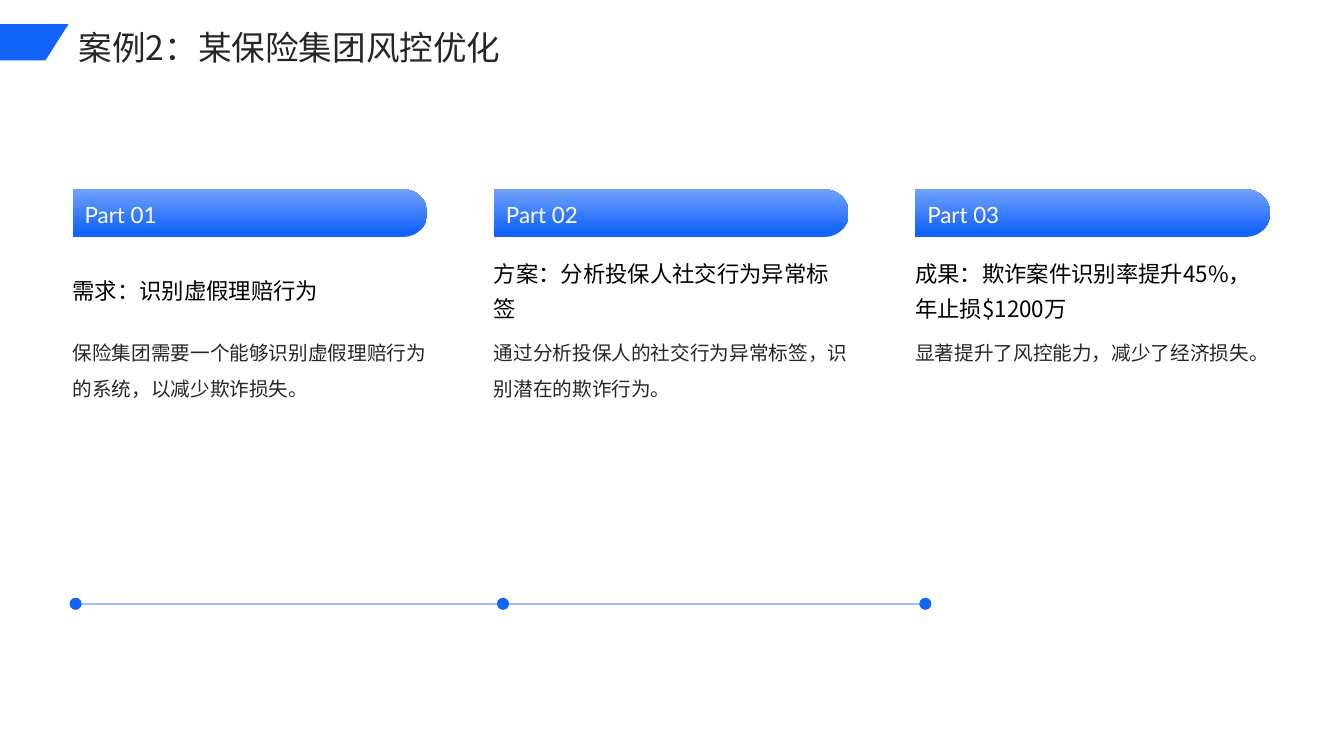
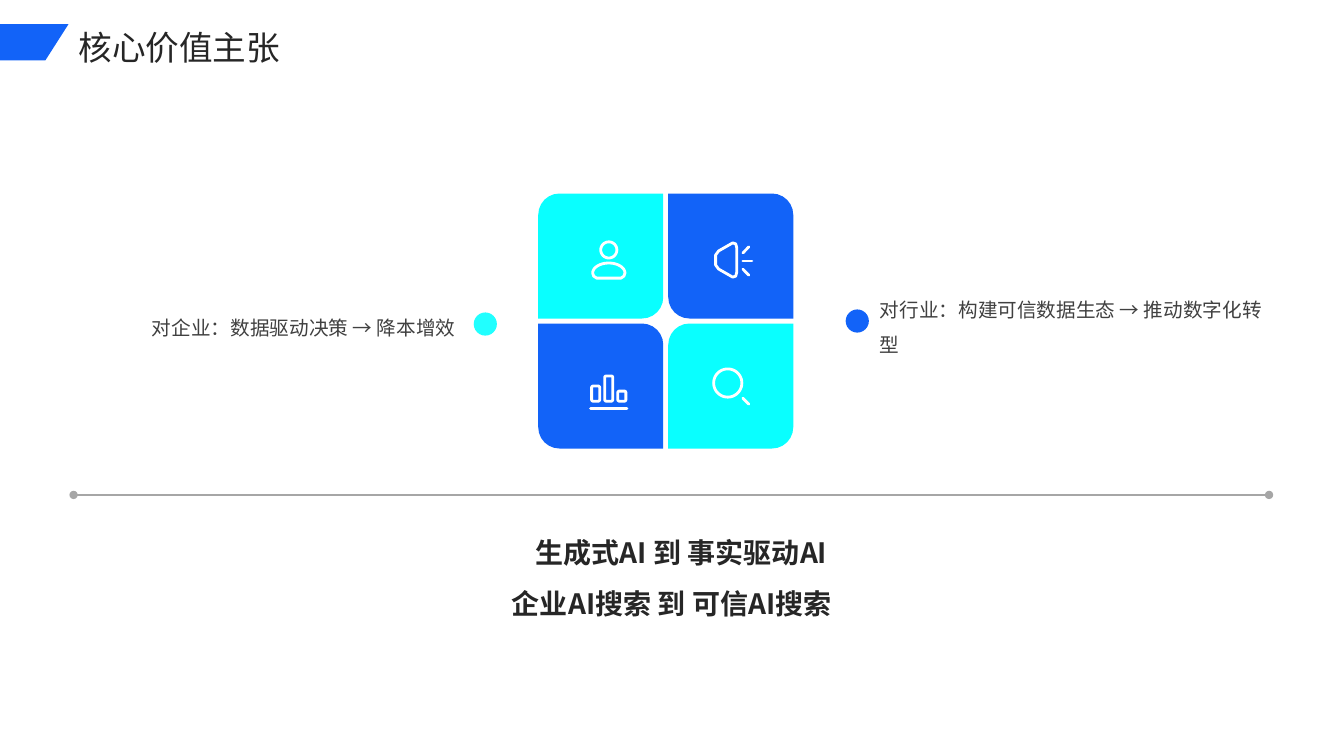
from dataclasses import dataclass
from math import cos, pi, sin

from lxml.etree import SubElement
from pptx import Presentation
from pptx.dml.color import RGBColor
from pptx.enum.shapes import MSO_CONNECTOR, MSO_SHAPE
from pptx.enum.text import MSO_ANCHOR, MSO_AUTO_SIZE, PP_ALIGN
from pptx.oxml.ns import qn
from pptx.util import Inches, Pt


@dataclass(frozen=True)
class Theme:
    blue: str = "1263F8"
    light_blue: str = "71A1FB"
    pale_blue: str = "A0C1FC"
    cyan: str = "09FFFF"
    white: str = "FFFFFF"
    black: str = "000000"
    ink: str = "262626"
    soft_ink: str = "404040"
    grey: str = "A6A6A6"
    font: str = "Noto Sans CJK SC"
    label_font: str = "Lato"
    title_size: int = 24
    closing_size: int = 20
    heading_size: int = 16
    body_size: int = 14
    icon_stroke: int = 2


THEME = Theme()

CASE_TITLE = "案例2：某保险集团风控优化"
CASE_PARTS = [
    ("Part 01", "需求：识别虚假理赔行为",
     "保险集团需要一个能够识别虚假理赔行为的系统，以减少欺诈损失。"),
    ("Part 02", "方案：分析投保人社交行为异常标签",
     "通过分析投保人的社交行为异常标签，识别潜在的欺诈行为。"),
    ("Part 03", "成果：欺诈案件识别率提升45%，年止损$1200万",
     "显著提升了风控能力，减少了经济损失。"),
]
MILESTONES = [0.75, 4.99, 9.18]

VALUE_TITLE = "核心价值主张"
VALUES = [
    ("对企业：数据驱动决策 → 降本增效", 0.72, 3.8, PP_ALIGN.RIGHT),
    ("对行业：构建可信数据生态 → 推动数字化转型", 8.73, 3.86, PP_ALIGN.LEFT),
]
CLOSING = [("生成式AI 到 事实驱动AI", 0.19), ("企业AI搜索 到 可信AI搜索", 0)]

TITLE_TAG = [(0, 0.24), (0.68, 0.24), (0.45, 0.6), (0, 0.6)]
CHART_TOPS = [3.83, 3.73, 3.88]


def arc(center_x, center_y, radius_x, radius_y, turn=2 * pi, steps=48):
    return [(center_x - radius_x * cos(turn * i / steps),
             center_y - radius_y * sin(turn * i / steps)) for i in range(steps + 1)]


def bar_outline(left, top, right, bottom, cut=0.01):
    return [(left + cut, top), (right - cut, top), (right, top + cut),
            (right, bottom - cut), (right - cut, bottom), (left + cut, bottom),
            (left, bottom - cut), (left, top + cut)]


SHOULDERS = arc(6.04, 2.71, 0.16, 0.1, turn=pi) + [
    (6.19, 2.74), (6.16, 2.76), (5.92, 2.76), (5.89, 2.74)]
MEGAPHONE = [(7.27, 2.41), (7.3, 2.42), (7.31, 2.46), (7.31, 2.7), (7.3, 2.74),
             (7.27, 2.75), (7.13, 2.67), (7.1, 2.63), (7.1, 2.53), (7.13, 2.49)]
ICONS = {
    "person": ([arc(6.04, 2.48, 0.08, 0.08), SHOULDERS], []),
    "megaphone": ([MEGAPHONE], [[(7.37, 2.51), (7.43, 2.45)],
                                [(7.37, 2.59), (7.46, 2.59)],
                                [(7.37, 2.67), (7.43, 2.73)]]),
    "chart": ([bar_outline(5.87 + 0.13 * i, top, 5.95 + 0.13 * i, 3.98)
               for i, top in enumerate(CHART_TOPS)],
              [[(5.86, 4.05), (6.22, 4.05)]]),
    "magnifier": ([arc(7.22, 3.8, 0.14, 0.14)], [[(7.37, 3.95), (7.43, 4.01)]]),
}


def rgb(value):
    return RGBColor.from_string(value)


def paint(shape, fill=None, stroke=None):
    shape.shadow.inherit = False
    if fill:
        shape.fill.solid()
        shape.fill.fore_color.rgb = rgb(fill)
    else:
        shape.fill.background()
    if stroke:
        shape.line.color.rgb = rgb(stroke)
        shape.line.width = Pt(THEME.icon_stroke)
        outline = shape._element.spPr.find(qn("a:ln"))
        outline.set("cap", "rnd")
        SubElement(outline, qn("a:round"))
    else:
        shape.line.fill.background()
    return shape


def add_preset(slide, preset, left, top, width, height, fill):
    shape = slide.shapes.add_shape(
        preset, Inches(left), Inches(top), Inches(width), Inches(height))
    return paint(shape, fill)


def add_dot(slide, left, top, size, fill):
    return add_preset(slide, MSO_SHAPE.OVAL, left, top, size, size, fill)


def add_outline(slide, closed, opened=(), **look):
    builder = None
    contours = [(points, True) for points in closed] + [(points, False) for points in opened]
    for points, close in contours:
        start, *rest = [(Inches(x), Inches(y)) for x, y in points]
        if builder is None:
            builder = slide.shapes.build_freeform(*start, scale=1.0)
        else:
            builder.move_to(*start)
        builder.add_line_segments(rest, close=close)
    return paint(builder.convert_to_shape(), **look)


def add_line(slide, start, end, color, width):
    line = slide.shapes.add_connector(
        MSO_CONNECTOR.STRAIGHT, *(Inches(v) for v in start + end))
    line.line.color.rgb = rgb(color)
    line.line.width = Pt(width)
    SubElement(line._element.spPr, qn("a:effectLst"))
    return line


def write(paragraph, text, size, color, spacing, font=THEME.font,
          bold=False, align=PP_ALIGN.LEFT):
    paragraph.alignment = align
    paragraph.line_spacing = spacing
    run = paragraph.add_run()
    run.text = text
    run.font.size = Pt(size)
    run.font.bold = bold
    run.font.color.rgb = rgb(color)
    run.font.name = font
    SubElement(run._r.get_or_add_rPr(), qn("a:ea")).set("typeface", font)


def add_frame(slide, left, top, width, height, anchor=MSO_ANCHOR.TOP):
    box = slide.shapes.add_textbox(
        Inches(left), Inches(top), Inches(width), Inches(height))
    frame = box.text_frame
    frame.word_wrap = True
    frame.vertical_anchor = anchor
    frame.margin_left = frame.margin_right = 0
    frame.margin_top = frame.margin_bottom = 0
    return frame


def add_titled_slide(deck, title_text):
    slide = deck.slides.add_slide(deck.slide_layouts.get_by_name("Title Only"))
    add_outline(slide, [TITLE_TAG], fill=THEME.blue)
    title = slide.shapes.title
    title.left, title.top = Inches(0.68), Inches(0.18)
    title.width, title.height = Inches(11.71), Inches(0.46)
    frame = title.text_frame
    frame.auto_size = MSO_AUTO_SIZE.NONE
    frame.word_wrap = True
    frame.vertical_anchor = MSO_ANCHOR.TOP
    write(frame.paragraphs[0], title_text, THEME.title_size, THEME.ink, 1.1)
    return slide


def add_part_bar(slide, left):
    length, thickness, top = 3.52, 0.47, 1.88
    inset = (length - thickness) / 2
    bar = add_preset(slide, MSO_SHAPE.ROUND_2_SAME_RECTANGLE,
                     left + inset, top - inset, thickness, length, THEME.blue)
    bar.rotation = 90
    bar.adjustments[0] = 0.5
    bar.adjustments[1] = 0
    bar.fill.gradient()
    bar.fill.gradient_angle = 180
    stops = ((0.1, THEME.blue), (1, THEME.light_blue))
    for stop, (position, color) in zip(bar.fill.gradient_stops, stops):
        stop.position = position
        stop.color.rgb = rgb(color)


def build_case(deck):
    slide = add_titled_slide(deck, CASE_TITLE)
    for index, (label, heading, detail) in enumerate(CASE_PARTS):
        left = 0.72 + 4.18 * index
        add_part_bar(slide, left)
        label_frame = add_frame(slide, left + 0.12, 1.96, 2.13, 0.31, MSO_ANCHOR.MIDDLE)
        write(label_frame.paragraphs[0], label, THEME.heading_size, THEME.white,
              1.1, THEME.label_font)
        heading_frame = add_frame(slide, left, 2.45, 3.52, 0.79, MSO_ANCHOR.MIDDLE)
        write(heading_frame.paragraphs[0], heading, THEME.heading_size, THEME.black, 1.3)
        detail_frame = add_frame(slide, left, 3.27, 3.52, 2.4)
        write(detail_frame.paragraphs[0], detail, THEME.body_size, THEME.ink, 1.5)
    axis, size = 5.99, 0.12
    add_line(slide, (MILESTONES[0], axis), (MILESTONES[-1], axis), THEME.pale_blue, 1.5)
    for center in MILESTONES:
        add_dot(slide, center - size / 2, axis - size / 2, size, THEME.blue)


def add_petals(slide):
    size, pitch, corner = 1.24, 1.29, 0.17
    for row in range(2):
        for column in range(2):
            matching = row == column
            petal = add_preset(
                slide, MSO_SHAPE.ROUND_2_DIAG_RECTANGLE,
                5.34 + pitch * column, 1.92 + pitch * row, size, size,
                THEME.cyan if matching else THEME.blue)
            petal.adjustments[0] = corner if matching else 0
            petal.adjustments[1] = 0 if matching else corner


def build_value(deck):
    slide = add_titled_slide(deck, VALUE_TITLE)
    add_petals(slide)
    for closed, opened in ICONS.values():
        add_outline(slide, closed, opened, stroke=THEME.white)
    enterprise_dot = add_dot(slide, 4.7, 3.1, 0.23, THEME.cyan)
    tint = enterprise_dot._element.spPr.find(qn("a:solidFill"))[0]
    SubElement(tint, qn("a:alpha")).set("val", "90000")
    add_dot(slide, 8.39, 3.07, 0.23, THEME.blue)
    for text, left, width, align in VALUES:
        frame = add_frame(slide, left, 1.92, width, 2.54, MSO_ANCHOR.MIDDLE)
        write(frame.paragraphs[0], text, THEME.body_size, THEME.soft_ink, 1.5, align=align)
    divider = add_line(slide, (0.73, 4.91), (12.59, 4.91), THEME.grey, 1)
    outline = divider._element.spPr.find(qn("a:ln"))
    for end in ("a:headEnd", "a:tailEnd"):
        SubElement(outline, qn(end)).set("type", "oval")
    closing = add_frame(slide, 0.86, 5.15, 11.61, 1.25)
    for index, (text, shift) in enumerate(CLOSING):
        paragraph = closing.add_paragraph() if index else closing.paragraphs[0]
        write(paragraph, text, THEME.closing_size, THEME.ink, 1.5,
              bold=True, align=PP_ALIGN.CENTER)
        if shift:
            paragraph._p.get_or_add_pPr().set("marL", str(Inches(shift)))


def main():
    deck = Presentation()
    deck.slide_width, deck.slide_height = Inches(40 / 3), Inches(7.5)
    build_case(deck)
    build_value(deck)
    deck.save("out.pptx")


if __name__ == "__main__":
    main()
